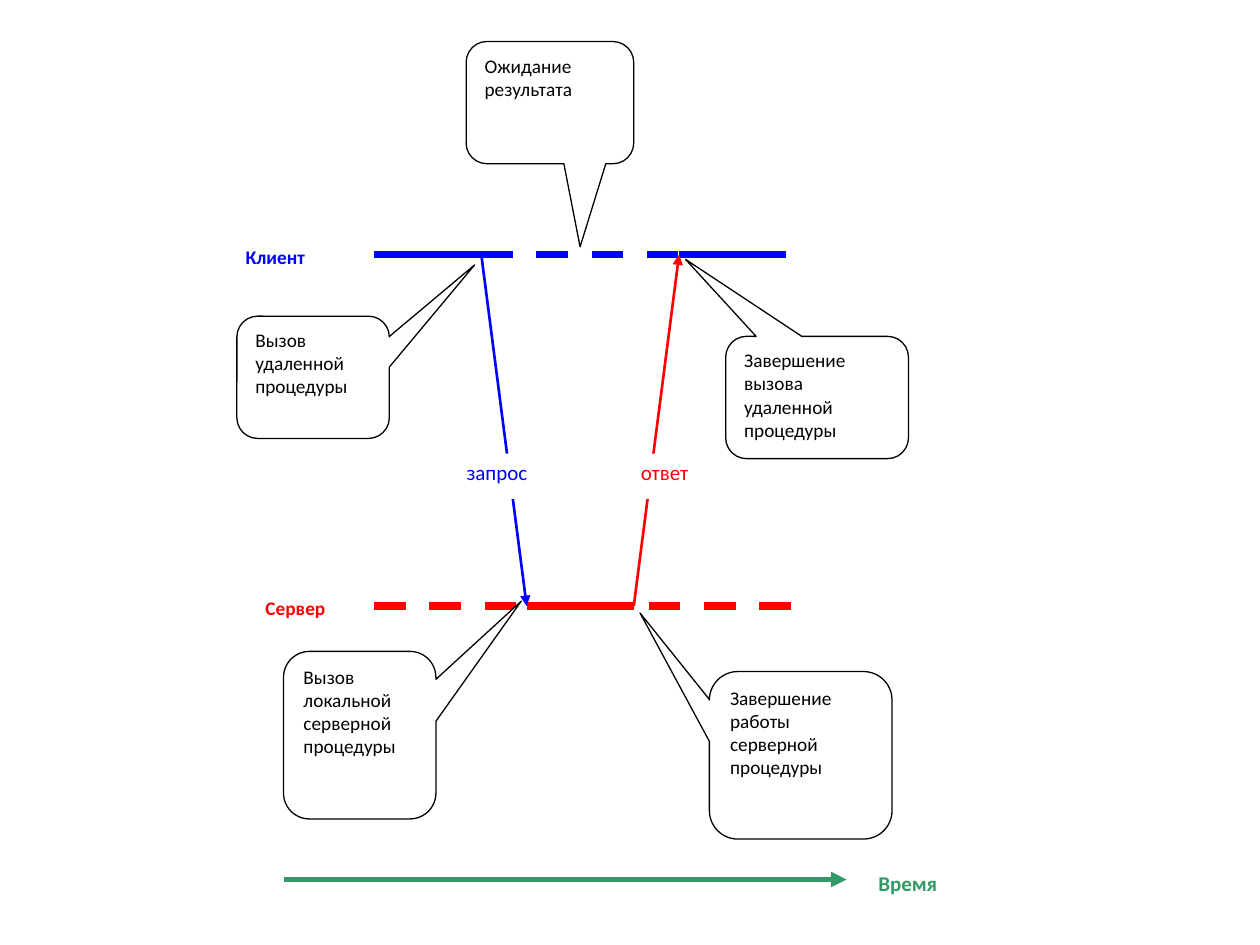
from pptx import Presentation
from pptx.dml.color import RGBColor
from pptx.enum.dml import MSO_LINE_DASH_STYLE as Dash
from pptx.enum.shapes import MSO_CONNECTOR, MSO_SHAPE
from pptx.enum.text import MSO_ANCHOR, PP_ALIGN
from pptx.oxml.ns import qn
from pptx.util import Inches, Pt
from lxml import etree

COLORS = {
    "client": "0000FF",
    "server": "FF0000",
    "time": "339966",
    "text": "000000",
    "paper": "FFFFFF",
}


def add_text_shape(text, box, kind=MSO_SHAPE.RECTANGLE, size=11, color="text",
                   bold=False, align=PP_ALIGN.CENTER, outline=None, adjustments=()):
    shape = slide.shapes.add_shape(kind, *map(Inches, box))
    shape.shadow.inherit = False
    for index, value in enumerate(adjustments):
        shape.adjustments[index] = value
    shape.fill.solid()
    shape.fill.fore_color.rgb = RGBColor.from_string(COLORS["paper"])
    if outline:
        shape.line.color.rgb = RGBColor.from_string(COLORS[outline])
        shape.line.width = Pt(0.75)
    else:
        shape.line.fill.background()
    frame = shape.text_frame
    frame.word_wrap = True
    frame.vertical_anchor = MSO_ANCHOR.TOP
    frame.text = text
    for paragraph in frame.paragraphs:
        paragraph.alignment = align
        font = paragraph.runs[0].font
        font.name = "Calibri"
        font.size = Pt(size)
        font.bold = bold
        font.color.rgb = RGBColor.from_string(COLORS[color])


def add_line(start, end, color, width, dashed=False, arrow=False):
    connector = slide.shapes.add_connector(
        MSO_CONNECTOR.STRAIGHT, *map(Inches, (*start, *end)))
    connector.line.color.rgb = RGBColor.from_string(COLORS[color])
    connector.line.width = Pt(width)
    if dashed:
        connector.line.dash_style = Dash.DASH
    properties = connector.element.spPr
    if arrow:
        etree.SubElement(properties.find(qn("a:ln")), qn("a:tailEnd"), type="triangle")
    etree.SubElement(properties, qn("a:effectLst"))


presentation = Presentation()
presentation.slide_width = Inches(10)
presentation.slide_height = Inches(7.5)
slide = presentation.slides.add_slide(presentation.slide_layouts[6])

client_y, server_y, time_y = 2.02, 4.81, 6.98
call_x, start_x, finish_x, return_x = 3.82, 4.18, 5.03, 5.39

add_line((2.25, time_y), (6.72, time_y), "time", 3, arrow=True)
for y, color, segments in (
    (client_y, "client", ((2.97, call_x, False), (return_x, 6.24, False),
                          (call_x, return_x, True))),
    (server_y, "server", ((2.97, start_x, True), (start_x, finish_x, False),
                          (5.15, 6.36, True))),
):
    for left, right, dashed in segments:
        add_line((left, y), (right, y), color, 4.5, dashed=dashed)
add_line((call_x, client_y), (start_x, server_y), "client", 1.5, arrow=True)
add_line((finish_x, server_y), (return_x, client_y), "server", 1.5, arrow=True)

for text, left, top, width, size, color, bold in (
    ("Время", 6.72, 6.86, 0.97, 12, "time", True),
    ("Клиент", 1.76, 1.9, 0.85, 11, "client", True),
    ("Сервер", 1.92, 4.68, 0.85, 11, "server", True),
    ("ответ", 4.79, 3.6, 0.97, 12, "server", False),
    ("запрос", 3.46, 3.6, 0.97, 12, "client", False),
):
    add_text_shape(text, (left, top, width, 0.36), size=size, color=color, bold=bold)

for text, box, pointer in (
    ("Вызов удаленной\nпроцедуры", (1.88, 2.51, 1.21, 0.97), (1.06, -0.92)),
    ("Завершение вызова удаленной процедуры", (5.76, 2.67, 1.45, 0.97), (-0.72, -1.13)),
    ("Вызов локальной\nсерверной\nпроцедуры", (2.25, 5.17, 1.21, 1.33), (1.06, -0.8)),
    ("Ожидание\nрезультата", (3.7, 0.33, 1.33, 0.97), (0.18, 1.18)),
    ("Завершение\nработы серверной\nпроцедуры", (5.63, 5.33, 1.45, 1.33), (-0.88, -0.85)),
):
    add_text_shape(text, box, kind=MSO_SHAPE.ROUNDED_RECTANGULAR_CALLOUT,
                   align=PP_ALIGN.LEFT, outline="text", adjustments=(*pointer, 0.17))

presentation.save("out.pptx")
